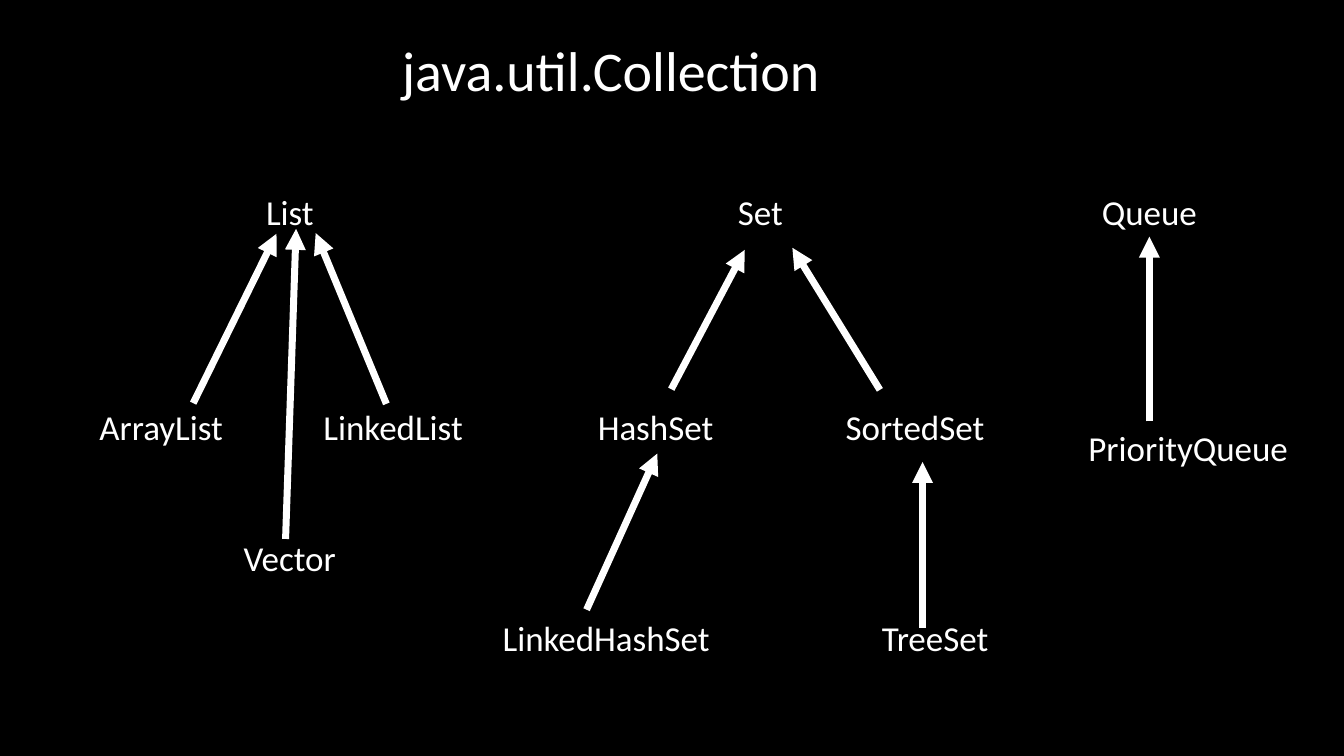
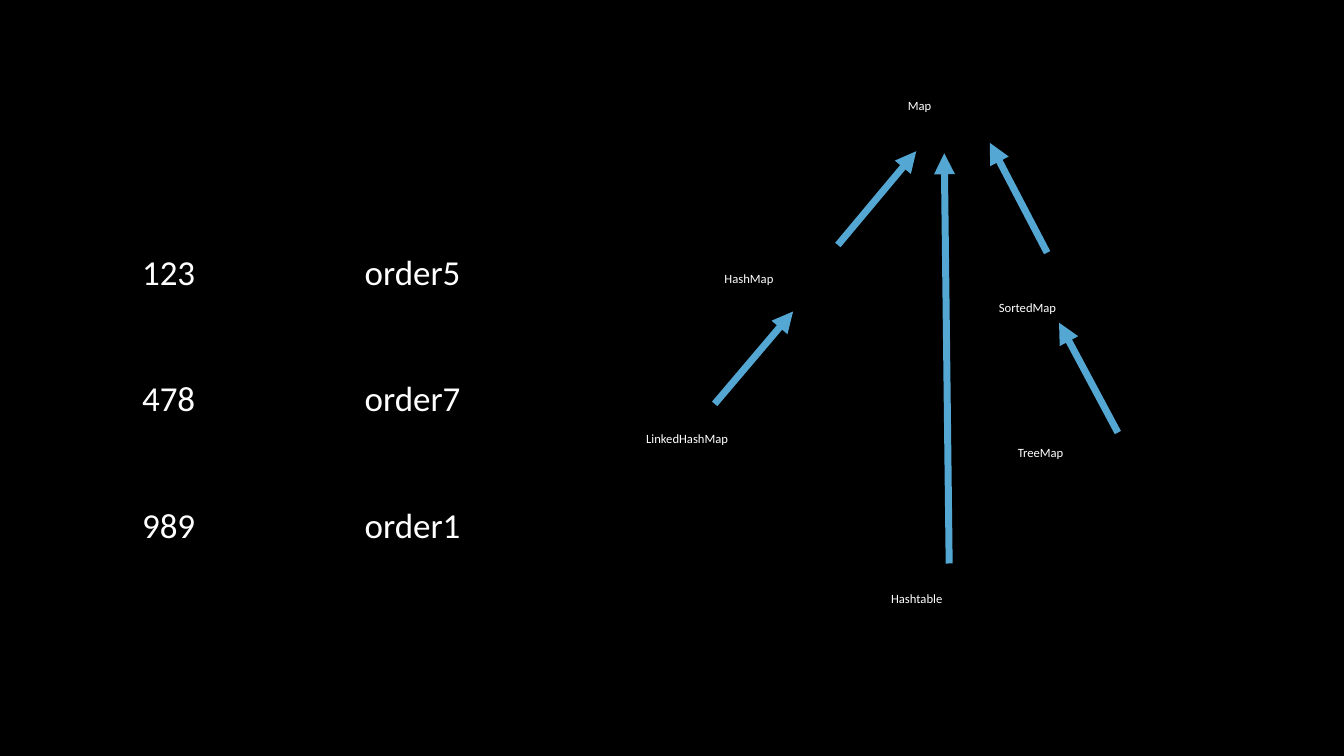
import pptx
import pptx.dml.color
import pptx.enum.shapes
import pptx.enum.text
import pptx.oxml
import pptx.oxml.ns
import pptx.util

Pt = pptx.util.Pt

SET_HIERARCHY = {
    "left_top_width": [
        ("List", 188, 134, 40), ("Set", 525, 134, 38), ("Queue", 785, 134, 74),
        ("ArrayList", 69, 287.5, 95), ("LinkedList", 229, 287.5, 106),
        ("HashSet", 425, 287.5, 89), ("SortedSet", 602, 287.5, 106),
        ("PriorityQueue", 775.5, 302.5, 150), ("Vector", 172, 381, 72),
        ("LinkedHashSet", 357, 438, 155), ("TreeSet", 628, 438, 83),
    ],
    "arrows": [
        (138, 288, 197.5, 167), (204, 385, 211.5, 163.5), (276, 288.5, 225.5, 166.5),
        (479.5, 278, 532, 178.5), (628.5, 278.5, 566, 177), (419, 435.5, 469.5, 324),
        (659, 448.5, 659, 330), (821, 301, 821, 169),
    ],
}
MAP_HIERARCHY = {
    "left_top_width": [
        ("Map", 646.5, 67.5, 22), ("HashMap", 515.5, 191.5, 41),
        ("LinkedHashMap", 459.5, 305.5, 65), ("SortedMap", 711.5, 212, 47),
        ("TreeMap", 725, 316, 39), ("Hashtable", 634.5, 420, 42),
    ],
    "arrows": [
        (598.5, 175, 654.5, 108), (510.5, 288.5, 566.5, 222.5),
        (678, 402.5, 674.5, 109.5), (748, 180.5, 707, 102), (798.5, 309, 756.5, 230.5),
    ],
}
ORDERS = [("123", "order5"), ("478", "order7"), ("989", "order1")]


def colour(value):
    return pptx.dml.color.RGBColor.from_string(value)


def write_text(frame, text, size, font="Calibri", ink="FFFFFF"):
    paragraph = frame.paragraphs[0]
    paragraph.alignment = pptx.enum.text.PP_ALIGN.LEFT
    run = paragraph.add_run()
    run.text = text
    run.font.size = Pt(size)
    run.font.name = font
    run.font.color.rgb = colour(ink)


class Deck:
    """Holds the black style and the slide being built."""

    BACKGROUND = "000000"
    WHITE = "FFFFFF"
    BLUE = "53A7D2"
    INSET = 2
    TITLE_ONLY, BLANK = 5, 6
    NO_GRID_STYLE = "{2D5ABB26-0587-4C30-8999-92F81FD0307C}"

    def __init__(self):
        self.presentation = pptx.Presentation()
        self.presentation.slide_width = Pt(960)
        self.presentation.slide_height = Pt(540)
        fill = self.presentation.slide_master.background.fill
        fill.solid()
        fill.fore_color.rgb = colour(self.BACKGROUND)
        self.slide = None

    def start_slide(self, layout):
        layouts = self.presentation.slide_layouts
        self.slide = self.presentation.slides.add_slide(layouts[layout])

    def set_insets(self, holder):
        holder.margin_left = holder.margin_right = Pt(self.INSET)
        holder.margin_top = holder.margin_bottom = Pt(self.INSET)
        holder.vertical_anchor = pptx.enum.text.MSO_ANCHOR.MIDDLE

    def fit_text(self, frame, text, size):
        self.set_insets(frame)
        frame.word_wrap = False
        frame.auto_size = pptx.enum.text.MSO_AUTO_SIZE.SHAPE_TO_FIT_TEXT
        write_text(frame, text, size=size)

    def title(self, text, left, top, width, height, size=40):
        heading = self.slide.shapes.title
        heading.left, heading.top = Pt(left), Pt(top)
        heading.width, heading.height = Pt(width), Pt(height)
        self.fit_text(heading.text_frame, text, size)

    def label(self, text, left, top, width, height, size):
        box = self.slide.shapes.add_textbox(Pt(left), Pt(top), Pt(width), Pt(height))
        self.fit_text(box.text_frame, text, size)

    def arrow(self, start_x, start_y, end_x, end_y, ink):
        link = self.slide.shapes.add_connector(
            pptx.enum.shapes.MSO_CONNECTOR.STRAIGHT,
            Pt(start_x), Pt(start_y), Pt(end_x), Pt(end_y))
        link.line.width = Pt(5)
        link.line.color.rgb = colour(ink)
        outline = link.line._get_or_add_ln()
        head = pptx.oxml.ns.qn("a:tailEnd")
        outline.append(outline.makeelement(head, {"type": "triangle"}))
        properties = outline.getparent()
        properties.append(properties.makeelement(pptx.oxml.ns.qn("a:effectLst"), {}))

    def hierarchy(self, tree, size, height, ink):
        for text, left, top, width in tree["left_top_width"]:
            self.label(text, left, top, width, height, size)
        for ends in tree["arrows"]:
            self.arrow(*ends, ink=ink)

    def table(self, records, left, top, column_width, row_height, size=25):
        rows, columns = len(records), len(records[0])
        frame = self.slide.shapes.add_table(
            rows, columns, Pt(left), Pt(top),
            Pt(column_width * columns), Pt(row_height * rows))
        grid = frame.table
        grid.first_row = grid.horz_banding = False
        style = grid._tbl.tblPr.find(pptx.oxml.ns.qn("a:tableStyleId"))
        style.text = self.NO_GRID_STYLE
        for row, record in enumerate(records):
            for column, text in enumerate(record):
                cell = grid.cell(row, column)
                cell.fill.background()
                self.set_insets(cell)
                write_text(cell.text_frame, text, size=size)


def main():
    deck = Deck()

    deck.start_slide(Deck.TITLE_ONLY)
    deck.title("java.util.Collection", 285, 23, 307, 52.5)
    deck.hierarchy(SET_HIERARCHY, size=25, height=34.5, ink=Deck.WHITE)

    deck.start_slide(Deck.BLANK)
    deck.table(ORDERS, 99.5, 150, column_width=159, row_height=90.5)
    deck.hierarchy(MAP_HIERARCHY, size=9, height=15, ink=Deck.BLUE)

    deck.presentation.save("out.pptx")


if __name__ == "__main__":
    main()
